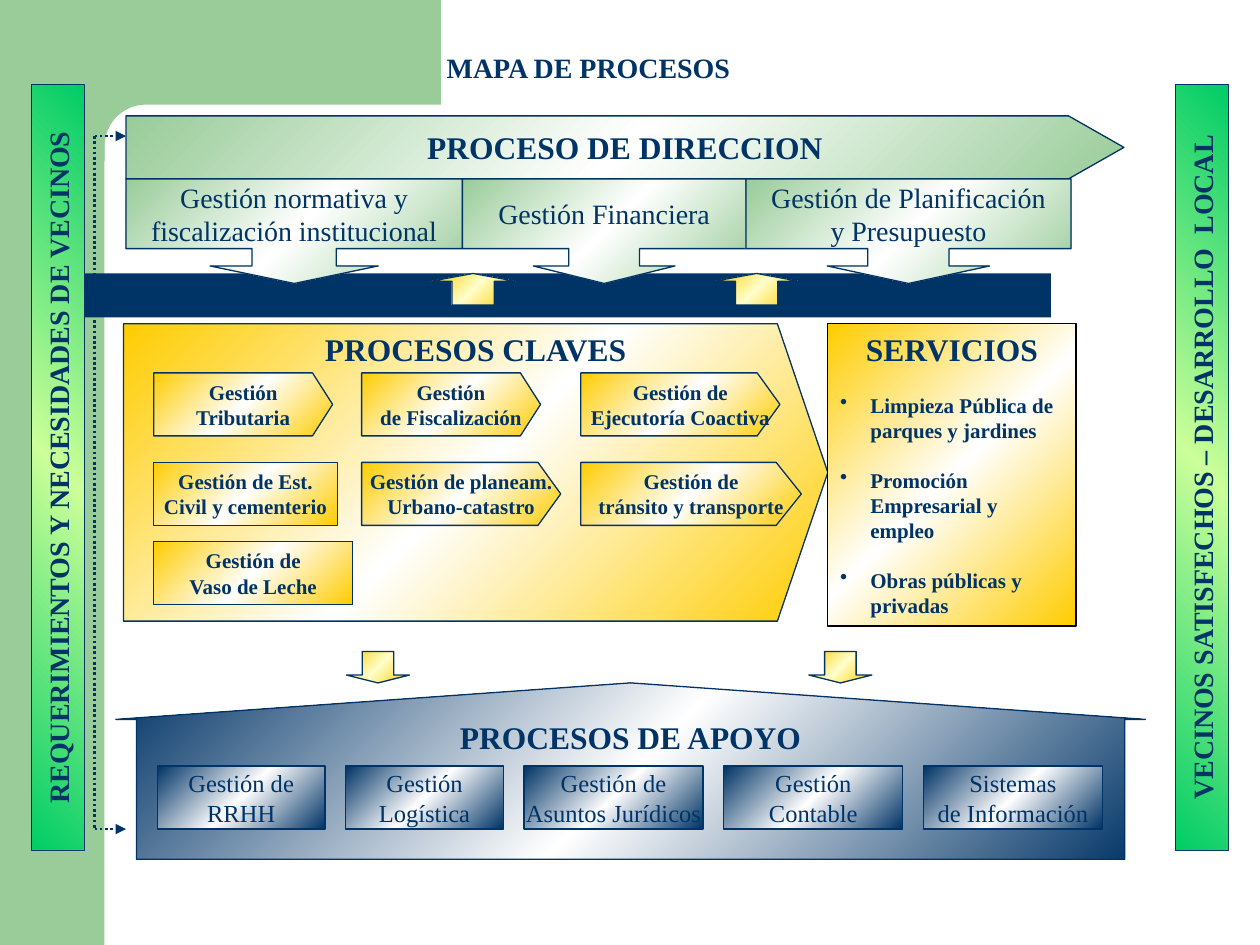
from copy import deepcopy
from dataclasses import dataclass
from math import cos, pi, sin

from lxml.etree import SubElement
from pptx import Presentation
from pptx.dml.color import RGBColor
from pptx.enum.dml import MSO_LINE
from pptx.enum.shapes import MSO_CONNECTOR, MSO_SHAPE as SHAPE
from pptx.enum.text import MSO_ANCHOR as ANCHOR, PP_ALIGN as ALIGN
from pptx.oxml.ns import qn
from pptx.util import Inches, Pt


@dataclass(frozen=True)
class Theme:
    font: str = "Times New Roman"
    navy: str = "003366"
    black: str = "000000"
    sage: str = "99CC99"
    # Gradients: outer colour, middle colour
    green: tuple = ("99CC99", "FFFFFF")
    gold: tuple = ("FFCC00", "FFFFFF")
    lemon: tuple = ("FFCC00", "FFFFCC")
    blue: tuple = ("003366", "FFFFFF")
    lime: tuple = ("00CC66", "CCFF99")
    heading: int = 18
    large: int = 16
    medium: int = 14
    small: int = 12
    outline: float = 0.75


T = Theme()


def write(tf, lines, size=T.small, bold=False, align=ALIGN.CENTER,
          anchor=ANCHOR.MIDDLE, wrap=False):
    tf.word_wrap = wrap
    tf.vertical_anchor = anchor
    for i, line in enumerate(lines.split("\n")):
        p = tf.paragraphs[0] if i == 0 else tf.add_paragraph()
        p.alignment = align
        r = p.add_run()
        r.text = line
        r.font.name, r.font.size, r.font.bold = T.font, Pt(size), bold
        r.font.color.rgb = RGBColor.from_string(T.navy)


def paint(sp, fill, line=T.navy):
    """Fill with one colour, or with an outer-middle-outer diagonal gradient."""
    sp.shadow.inherit = False
    if isinstance(fill, str):
        sp.fill.solid()
        sp.fill.fore_color.rgb = RGBColor.from_string(fill)
        sp.line.fill.background()
        return sp
    outer, middle = fill
    sp.fill.gradient()
    sp.fill.gradient_angle = 135
    stops = next(sp._element.spPr.iter(qn("a:gsLst")))
    stops.append(deepcopy(stops[0]))
    for stop, pos, color in zip(sp.fill.gradient_stops, (0, 0.5, 1), (outer, middle, outer)):
        stop.position = pos
        stop.color.rgb = RGBColor.from_string(color)
    sp.line.color.rgb = RGBColor.from_string(line)
    sp.line.width = Pt(T.outline)
    return sp


def add_preset(slide, kind, x, y, w, h, fill, adj=(), line=T.navy):
    sp = slide.shapes.add_shape(kind, Inches(x), Inches(y), Inches(w), Inches(h))
    for i, value in enumerate(adj):
        sp.adjustments[i] = value
    return paint(sp, fill, line)


def add_outline(slide, points, fill):
    pts = [(Inches(x), Inches(y)) for x, y in points]
    builder = slide.shapes.build_freeform(*pts[0], scale=1.0)
    builder.add_line_segments(pts[1:], close=True)
    return paint(builder.convert_to_shape(), fill)


def add_pentagon(slide, x, y, w, h, tip, fill):
    """Box whose right side ends in a point; a plain box when tip is 0."""
    if not tip:
        return add_preset(slide, SHAPE.RECTANGLE, x, y, w, h, fill)
    return add_outline(slide, [(x, y), (x + w - tip, y), (x + w, y + h / 2),
                               (x + w - tip, y + h), (x, y + h)], fill)


def add_dotted(slide, x1, y1, x2, y2, arrow=False):
    c = slide.shapes.add_connector(MSO_CONNECTOR.STRAIGHT, Inches(x1), Inches(y1),
                                   Inches(x2), Inches(y2))
    c.line.color.rgb = RGBColor.from_string(T.navy)
    c.line.width = Pt(1.5)
    c.line.dash_style = MSO_LINE.ROUND_DOT
    if arrow:
        SubElement(c.line._get_or_add_ln(), qn("a:tailEnd"), type="triangle")
    SubElement(c._element.spPr, qn("a:effectLst"))


def backdrop(slide, x, y, w, h):
    add_preset(slide, SHAPE.RECTANGLE, x, y, 0.83, h, T.sage)
    # Top block with a rounded inner corner
    radius, cx, cy = 0.33, x + 1.16, y + 1.16
    turns = [pi / 2 * i / 12 for i in range(13)]
    arc = [(cx - radius * sin(a), cy - radius * cos(a)) for a in turns]
    add_outline(slide, [(x + 0.5, y), (x + 3.5, y), (x + 3.5, y + 0.83), *arc,
                        (x + 0.83, y + 1.28), (x + 0.5, y + 1.28)], T.sage)
    add_preset(slide, SHAPE.RECTANGLE, x + 0.67, y + 2.17, 7.67, 0.35, T.navy)


def title(slide, x, y, w, h):
    sp = slide.shapes.title
    sp.left, sp.top, sp.width, sp.height = map(Inches, (x, y, w, h))
    write(sp.text_frame, "MAPA DE PROCESOS", size=T.large, bold=True)


def direction(slide, x, y, w, h):
    head = 0.5
    sp = add_pentagon(slide, x, y, w, head, 0.44, T.green)
    write(sp.text_frame, "PROCESO DE DIRECCION", size=T.heading, bold=True)
    left, depth = x, h - head
    for label, width in (("Gestión normativa y\nfiscalización institucional", 2.67),
                         ("Gestión Financiera", 2.25),
                         ("Gestión de Planificación\ny Presupuesto", 2.58)):
        # Arrow is a quarter of the width, its head half
        ratio = width / depth / 4
        sp = add_preset(slide, SHAPE.DOWN_ARROW_CALLOUT, left, y + head, width, depth,
                        T.green, (ratio, ratio, 0.167, 0.667))
        write(sp.text_frame, label, size=T.large)
        left += width


def key_processes(slide, x, y, w, h):
    sp = add_pentagon(slide, x, y, w, h, 0.4, T.gold)
    write(sp.text_frame, "PROCESOS CLAVES", size=T.heading, bold=True, anchor=ANCHOR.TOP)
    cols, rows = (0.24, 1.89, 3.63), (0.39, 1.1, 1.73)
    # column, row, width, tip, label
    for col, row, width, tip, label in (
            (0, 0, 1.42, 0.16, "Gestión\nTributaria"),
            (1, 0, 1.42, 0.16, "Gestión\nde Fiscalización"),
            (2, 0, 1.58, 0.18, "Gestión de\nEjecutoría Coactiva"),
            (0, 1, 1.46, 0, "Gestión de Est.\nCivil y cementerio"),
            (1, 1, 1.58, 0.18, "Gestión de planeam.\nUrbano-catastro"),
            (2, 1, 1.75, 0.2, "Gestión de\ntránsito y transporte"),
            (0, 2, 1.58, 0, "Gestión de\nVaso de Leche")):
        sp = add_pentagon(slide, x + cols[col], y + rows[row], width, 0.5, tip, T.gold)
        write(sp.text_frame, label, bold=True, anchor=ANCHOR.TOP)


def services(slide, x, y, w, h):
    sp = add_preset(slide, SHAPE.RECTANGLE, x, y, w, h, T.gold, line=T.black)
    tf = sp.text_frame
    write(tf, "SERVICIOS\nLimpieza Pública de parques y jardines\n"
              "Promoción Empresarial y empleo\nObras públicas y privadas",
          bold=True, align=ALIGN.LEFT, anchor=ANCHOR.TOP, wrap=True)
    heading, *items = tf.paragraphs
    heading.alignment = ALIGN.CENTER
    heading.runs[0].font.size = Pt(T.heading)
    for p in items:
        p.space_before = Pt(14)
        pPr = p._p.get_or_add_pPr()
        pPr.set("marL", str(Inches(0.24)))
        pPr.set("indent", str(-Inches(0.24)))
        SubElement(pPr, qn("a:buChar"), char="•")


def support(slide, x, y, w, h):
    sp = add_preset(slide, SHAPE.UP_ARROW, x, y, w, h, T.blue, (0.96, 0.207))
    sp.text_frame.margin_top = 0
    write(sp.text_frame, "PROCESOS DE APOYO", size=T.heading, bold=True,
          anchor=ANCHOR.TOP, wrap=True)
    left = x + 0.33
    for label, width in (("Gestión de\nRRHH", 1.33), ("Gestión\nLogística", 1.25),
                         ("Gestión de\nAsuntos Jurídicos", 1.42),
                         ("Gestión\nContable", 1.42), ("Sistemas\nde Información", 1.42)):
        sp = add_preset(slide, SHAPE.RECTANGLE, left, y + 0.66, width, 0.5, T.blue)
        write(sp.text_frame, label, size=T.medium)
        left += width + 0.165


def side_bar(slide, x, y, w, h, label):
    # Laid flat around the same centre, then turned to read upwards
    sp = add_preset(slide, SHAPE.RECTANGLE, x + (w - h) / 2, y + (h - w) / 2, h, w, T.lime)
    sp.rotation = 270
    write(sp.text_frame, label, size=T.large, bold=True)


def flow_arrows(slide):
    for kind, y, w, lefts in ((SHAPE.UP_ARROW, 2.17, 0.67, (3.42, 5.67)),
                              (SHAPE.DOWN_ARROW, 5.17, 0.5, (2.75, 6.42))):
        for x in lefts:
            add_preset(slide, kind, x, y, w, 0.25, T.lemon, (0.5, 0.25))


def feedback(slide, x, y, w, h):
    add_dotted(slide, x, y, x, y + h)
    for level in (y + h, y):
        add_dotted(slide, x, level, x + w, level, arrow=True)


def main():
    prs = Presentation()
    prs.slide_width, prs.slide_height = Inches(10), Inches(7.5)
    slide = prs.slides.add_slide(prs.slide_layouts[5])
    backdrop(slide, 0, 0, 10, 7.5)
    title(slide, 3.42, 0.35, 2.5, 0.37)
    direction(slide, 1, 0.92, 7.92, 1.33)
    key_processes(slide, 0.98, 2.57, 5.59, 2.36)
    support(slide, 0.92, 5.42, 8.17, 1.4)
    side_bar(slide, 0.25, 0.67, 0.42, 6.08, "REQUERIMIENTOS Y NECESIDADES DE VECINOS")
    side_bar(slide, 9.33, 0.67, 0.42, 6.08, "VECINOS SATISFECHOS – DESARROLLO  LOCAL")
    flow_arrows(slide)
    feedback(slide, 0.75, 1.08, 0.25, 5.5)
    services(slide, 6.57, 2.57, 1.97, 2.4)
    prs.save("out.pptx")


if __name__ == "__main__":
    main()
